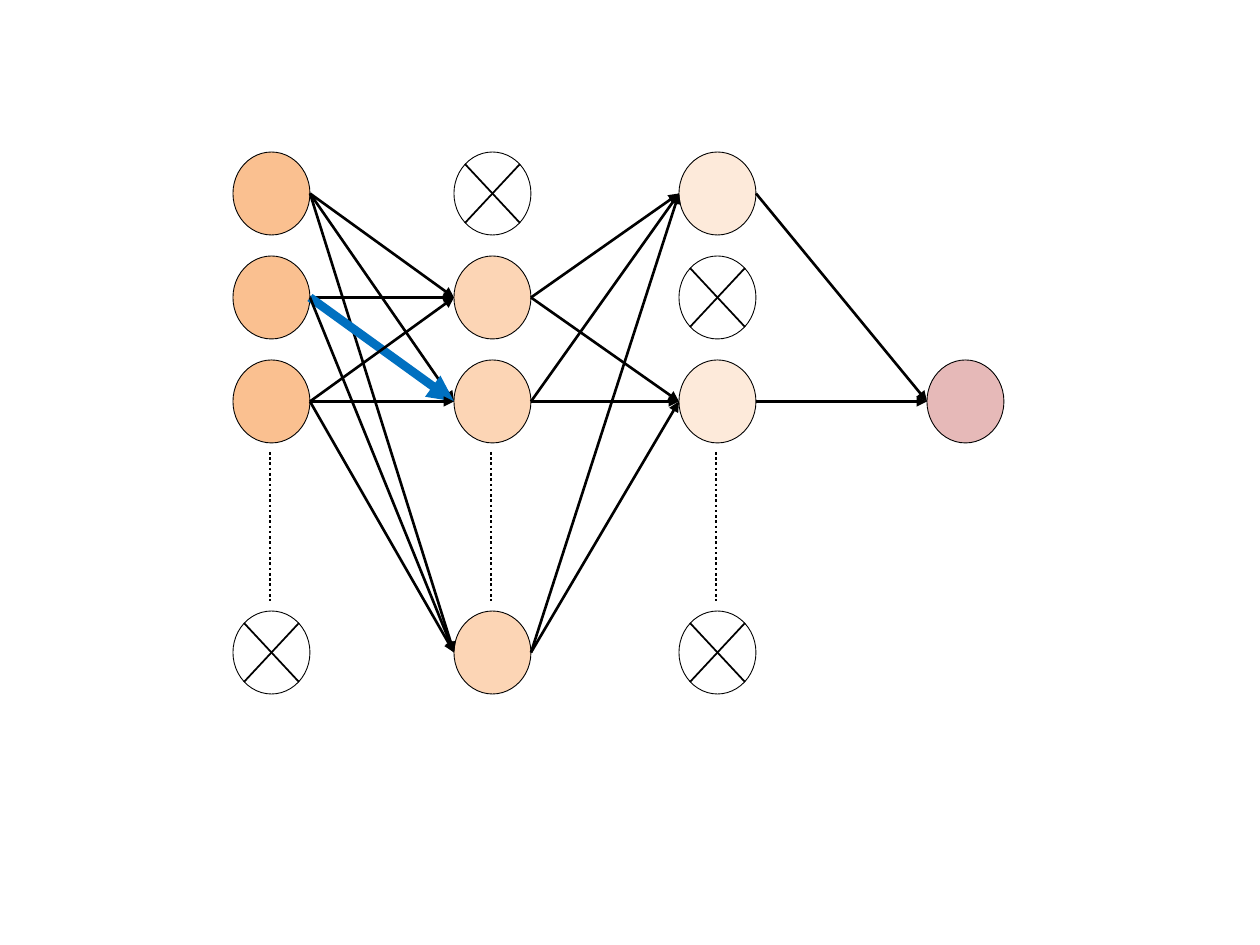
import lxml.etree
import pptx
import pptx.dml.color
import pptx.enum.dml
import pptx.enum.shapes
import pptx.oxml.ns
import pptx.util

PX = 914400 / 126
COLORS = {
    "black": "000000",
    "blue": "0070C0",
    "input": "FAC090",
    "hidden_1": "FCD5B5",
    "hidden_2": "FDEADA",
    "output": "E6B9B8",
}
NODE_WIDTH, NODE_HEIGHT = 77, 83
ROW_TOPS = [0, 104, 208, 459]
# Left edge, colour, rows with an active node, rows with a dropped node
LAYERS = [
    (0, "input", [0, 1, 2], [3]),
    (221, "hidden_1", [1, 2, 3], [0]),
    (446, "hidden_2", [0, 2], [1, 3]),
    (694, "output", [2], []),
]
HIGHLIGHTED = (0, 1, 2)  # layer, start row, end row


def emu(px):
    return pptx.util.Emu(round(px * PX))


def rgb(name):
    return pptx.dml.color.RGBColor.from_string(COLORS[name])


def add_line(slide, start, end, width, color="black", dash=None, arrow=False):
    connector = slide.shapes.add_connector(
        pptx.enum.shapes.MSO_CONNECTOR.STRAIGHT,
        *(emu(value) for value in (*start, *end)),
    )
    connector.line.color.rgb = rgb(color)
    connector.line.width = pptx.util.Pt(width)
    if dash:
        connector.line.dash_style = dash
    properties = connector._element.spPr
    if arrow:
        outline = properties.find(pptx.oxml.ns.qn("a:ln"))
        lxml.etree.SubElement(outline, pptx.oxml.ns.qn("a:tailEnd"), type="triangle")
    lxml.etree.SubElement(properties, pptx.oxml.ns.qn("a:effectLst"))


def add_node(slide, left, top, color=None):
    """Draw a filled node, or a crossed-out one when no colour is given."""
    shape = slide.shapes.add_shape(
        pptx.enum.shapes.MSO_SHAPE.OVAL,
        emu(left), emu(top), emu(NODE_WIDTH), emu(NODE_HEIGHT),
    )
    shape.shadow.inherit = False
    shape.line.color.rgb = rgb("black")
    shape.line.width = pptx.util.Pt(0.5)
    if color:
        shape.fill.solid()
        shape.fill.fore_color.rgb = rgb(color)
        return
    shape.fill.background()
    x1, x2 = left + 11, left + NODE_WIDTH - 11
    y1, y2 = top + 12, top + NODE_HEIGHT - 12
    add_line(slide, (x1, y1), (x2, y2), 1)
    add_line(slide, (x1, y2), (x2, y1), 1)


def add_layer(slide, left, top, color, active, dropped):
    for row in sorted(active + dropped):
        add_node(slide, left, top + ROW_TOPS[row], color if row in active else None)
    if len(active + dropped) > 1:
        x = left + 37
        add_line(slide, (x, top + 300), (x, top + 449), 1.5,
                 dash=pptx.enum.dml.MSO_LINE.ROUND_DOT)


def add_arrows(slide, left, top, layer):
    """Join every active node of a layer to every active node of the next."""
    (start_left, _, start_rows, _), (end_left, _, end_rows, _) = LAYERS[layer:layer + 2]
    middle = top + NODE_HEIGHT / 2
    for start_row in start_rows:
        for end_row in end_rows:
            highlighted = (layer, start_row, end_row) == HIGHLIGHTED
            add_line(
                slide,
                (left + start_left + NODE_WIDTH, middle + ROW_TOPS[start_row]),
                (left + end_left, middle + ROW_TOPS[end_row]),
                5 if highlighted else 1.5,
                color="blue" if highlighted else "black",
                arrow=True,
            )


def add_network(slide, left, top):
    for layer_left, color, active, dropped in LAYERS:
        add_layer(slide, left + layer_left, top, color, active, dropped)
    for layer in range(len(LAYERS) - 1):
        add_arrows(slide, left, top, layer)


def main():
    presentation = pptx.Presentation()
    presentation.slide_width = emu(1260)
    presentation.slide_height = emu(945)
    slide = presentation.slides.add_slide(presentation.slide_layouts[6])
    add_network(slide, 233, 152)
    presentation.save("out.pptx")


if __name__ == "__main__":
    main()
